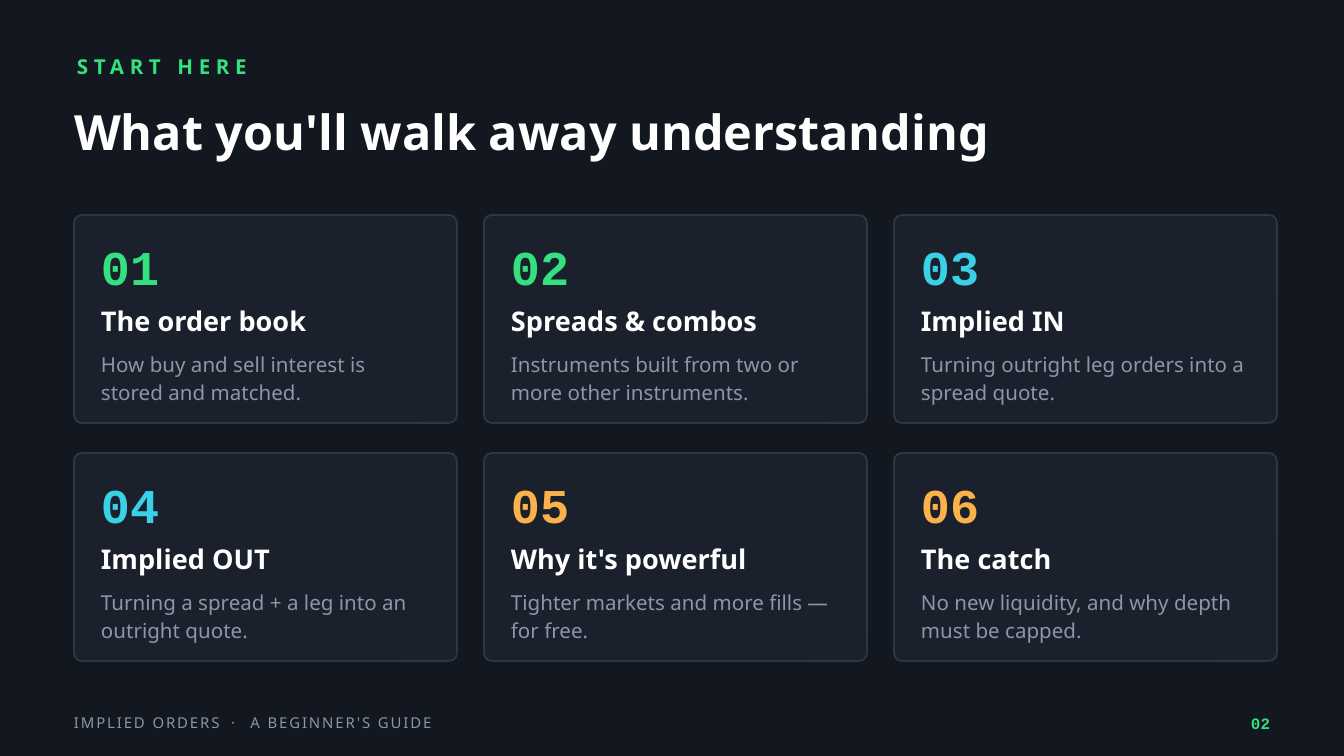
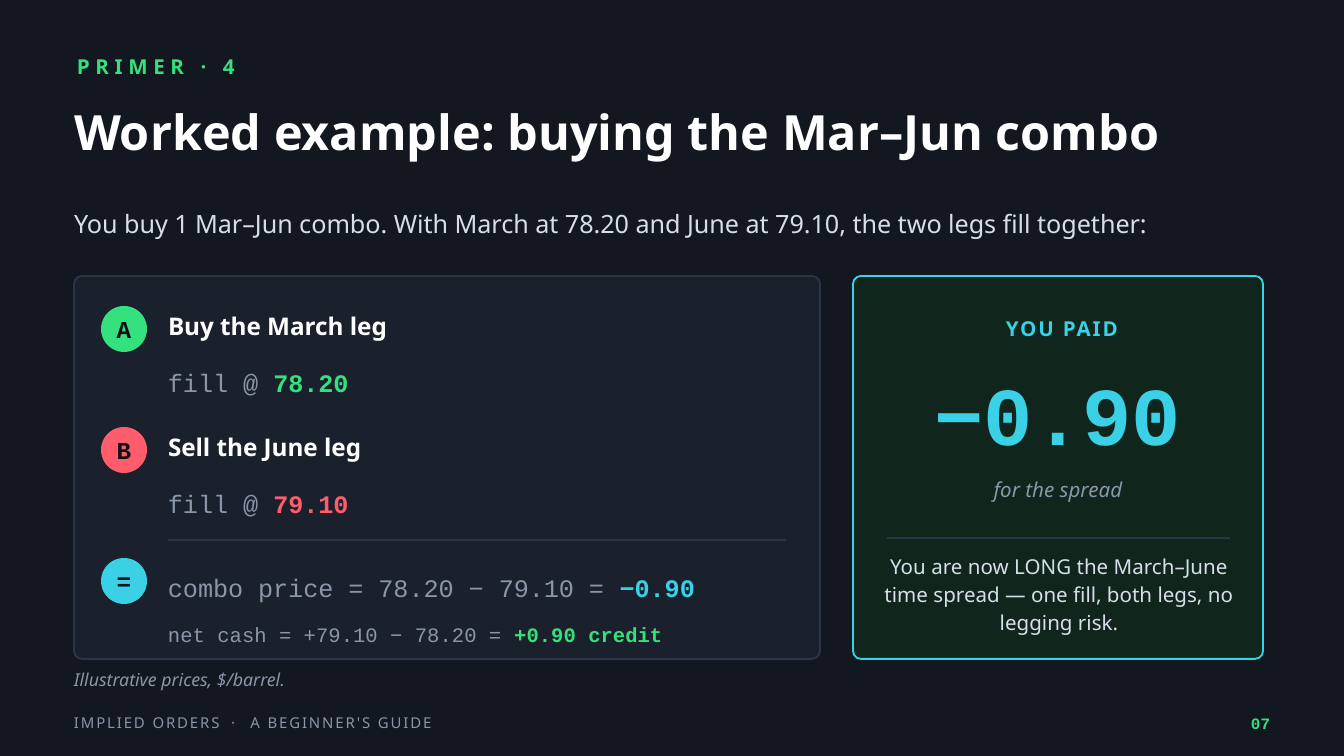
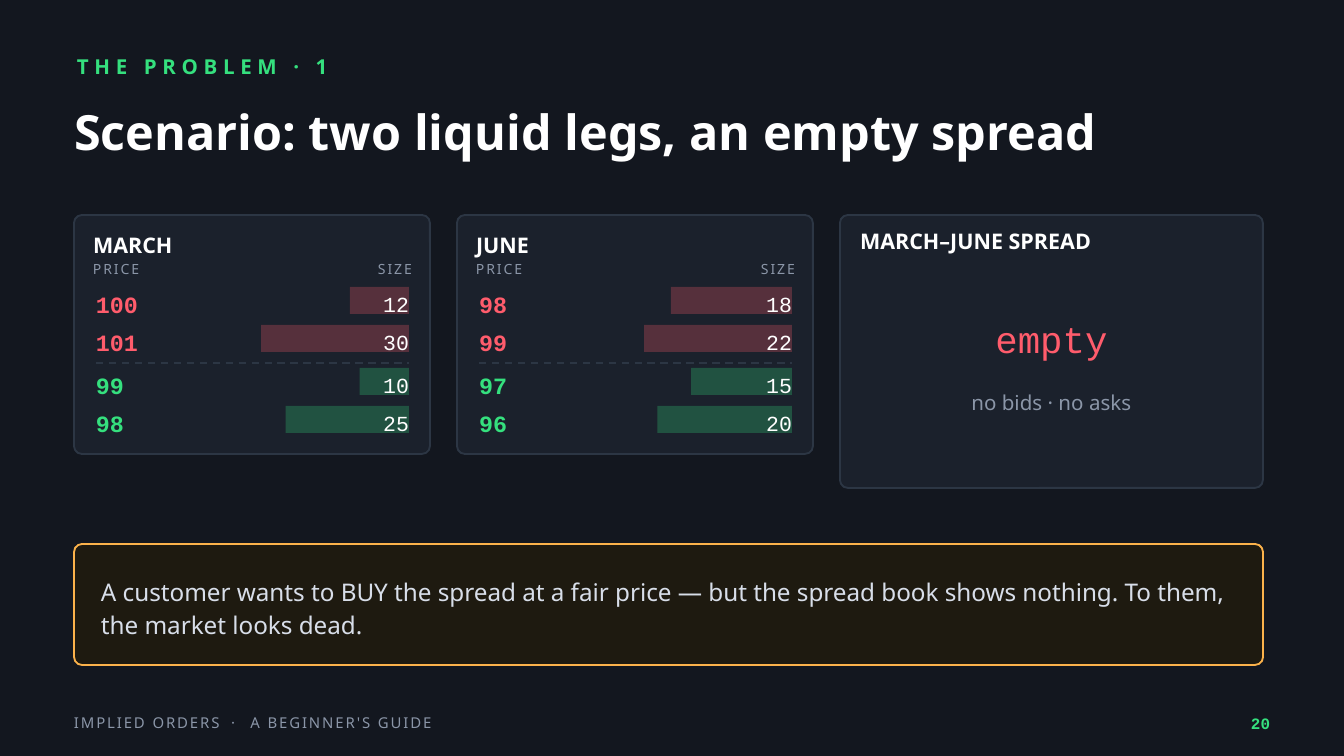
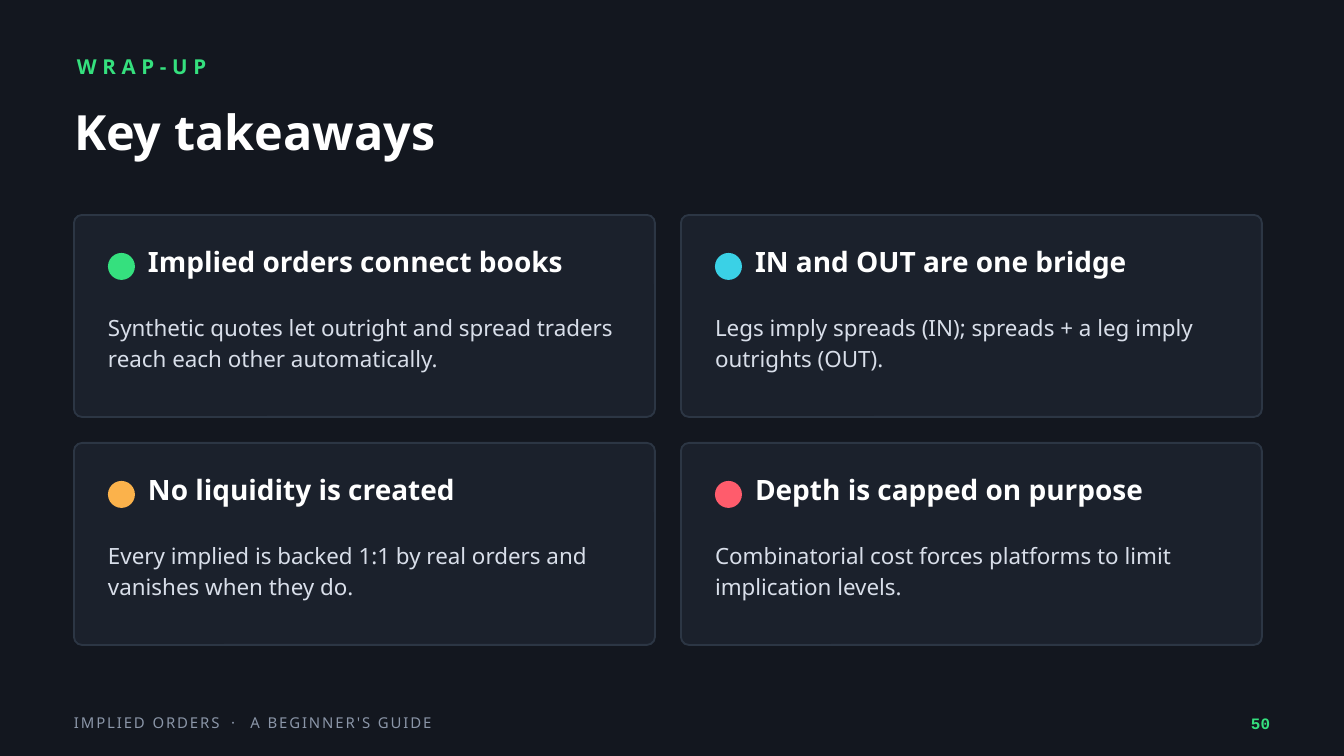
from lxml import etree
from pptx import Presentation
from pptx.dml.color import RGBColor
from pptx.enum.dml import MSO_LINE
from pptx.enum.shapes import MSO_CONNECTOR, MSO_SHAPE
from pptx.enum.text import MSO_ANCHOR, PP_ALIGN
from pptx.oxml.ns import qn
from pptx.util import Emu, Pt

EMU_PER_PX = 914400 / 134.4
WIDTH, HEIGHT = 1344, 756
LEFT, TOP = 74, 215
RADIUS = 8

SANS, MONO = "Noto Sans", "Courier New"
BACKGROUND, PANEL, BORDER = "13171F", "1B212C", "2C3644"
WHITE, LIGHT, MUTED, DARK = "FFFFFF", "D8DEE9", "8B96A8", "0D1016"
GREEN, CYAN, AMBER, RED = "35E07E", "3AD1E6", "FBB24B", "FF5C6C"
CENTER, RIGHT = PP_ALIGN.CENTER, PP_ALIGN.RIGHT


def px(value):
    """Turn picture pixels into EMU."""
    return Emu(round(value * EMU_PER_PX))


def rgb(value):
    """Turn a hex string into a colour."""
    return RGBColor.from_string(value)


def write(frame, runs, size, font=SANS, align=None, middle=False, leading=None):
    """Fill a text frame with one paragraph of (text, colour, style) runs.

    A style holds any of bold, italic and spacing (points between letters).
    """
    frame.word_wrap = True
    frame.margin_left = frame.margin_right = 0
    frame.margin_top = frame.margin_bottom = 0
    frame.vertical_anchor = MSO_ANCHOR.MIDDLE if middle else MSO_ANCHOR.TOP
    paragraph = frame.paragraphs[0]
    paragraph.alignment = align
    if leading:
        paragraph.line_spacing = Pt(leading)
    for text, color, style in runs:
        run = paragraph.add_run()
        run.text = text
        run.font.size = Pt(size)
        run.font.name = font
        run.font.color.rgb = rgb(color)
        run.font.bold = style.get("bold")
        run.font.italic = style.get("italic")
        if "spacing" in style:
            run._r.get_or_add_rPr().set("spc", str(style["spacing"] * 100))


def add_runs(slide, box, runs, size, **layout):
    """Add a text box of several runs; box is left, top, width, height."""
    shape = slide.shapes.add_textbox(*map(px, box))
    write(shape.text_frame, runs, size, **layout)


def add_text(slide, box, text, size, color, font=SANS, align=None,
             middle=False, leading=None, **style):
    """Add a text box of one run."""
    add_runs(slide, box, [(text, color, style)], size, font=font, align=align,
             middle=middle, leading=leading)


def add_shape(slide, kind, box, fill, line=None, opacity=None):
    """Add a flat preset shape, optionally outlined or see-through."""
    shape = slide.shapes.add_shape(kind, *map(px, box))
    shape.shadow.inherit = False
    shape.fill.solid()
    shape.fill.fore_color.rgb = rgb(fill)
    if line:
        shape.line.color.rgb = rgb(line)
        shape.line.width = Pt(1)
    else:
        shape.line.fill.background()
    if opacity:
        color = shape.element.spPr.find(qn("a:solidFill"))[0]
        etree.SubElement(color, qn("a:alpha")).set("val", str(opacity * 1000))
    return shape


def add_card(slide, box, fill=PANEL, line=BORDER):
    """Add a rounded panel with the shared corner radius."""
    card = add_shape(slide, MSO_SHAPE.ROUNDED_RECTANGLE, box, fill, line)
    card.adjustments[0] = RADIUS / min(box[2:])


def add_rule(slide, x1, x2, y, dashed=False):
    """Add a thin horizontal divider."""
    rule = slide.shapes.add_connector(
        MSO_CONNECTOR.STRAIGHT, px(x1), px(y), px(x2), px(y))
    rule.line.color.rgb = rgb(BORDER)
    rule.line.width = Pt(1)
    if dashed:
        rule.line.dash_style = MSO_LINE.DASH
    etree.SubElement(rule.element.spPr, qn("a:effectLst"))


def add_slide(deck, kicker, title, number):
    """Add a slide with background, heading and footer."""
    slide = deck.slides.add_slide(deck.slide_layouts[6])
    slide.background.fill.solid()
    slide.background.fill.fore_color.rgb = rgb(BACKGROUND)
    add_text(slide, (LEFT, 83, 1196, 97), title, 26, WHITE, middle=True, bold=True)
    add_text(slide, (77, 54, 1196, 32), kicker, 11, GREEN, bold=True, spacing=3)
    footer = [("IMPLIED ORDERS", MUTED, {"spacing": 1}),
              (" · ", MUTED, {"spacing": 3}),
              ("A BEGINNER'S GUIDE", MUTED, {"spacing": 1})]
    add_runs(slide, (LEFT, 714, 806, 30), footer, 8)
    add_text(slide, (1216, 714, 54, 30), number, 8.5, GREEN, MONO, RIGHT, bold=True)
    return slide


def add_topic(slide, x, y, number, color, heading, body):
    """Add a numbered topic card."""
    add_card(slide, (x, y, 383, 208))
    add_text(slide, (x + 27, y + 22, 134, 67), number, 26, color, MONO, bold=True)
    add_text(slide, (x + 27, y + 89, 329, 46), heading, 14.5, WHITE, bold=True)
    add_text(slide, (x + 27, y + 134, 329, 67), body, 11, MUTED, leading=15)


def add_badge(slide, y, letter, color):
    """Add a round step marker with its letter."""
    badge = add_shape(slide, MSO_SHAPE.OVAL, (101, y, 46, 46), color)
    write(badge.text_frame, [(letter, DARK, {"bold": True})], 13, MONO,
          CENTER, middle=True)


def add_sum(slide, y, height, label, result, color, size=13.5):
    """Add a monospaced line that ends in a bold coloured result."""
    runs = [(label, MUTED, {}), (result, color, {"bold": True})]
    add_runs(slide, (168, y, 632, height), runs, size, font=MONO, middle=True)


def add_book(slide, x, name, asks, bids):
    """Add an order book whose bars are scaled to its largest size."""
    add_card(slide, (x, TOP, 356, 239))
    add_text(slide, (x + 19, TOP + 7, 319, 46), name, 11.5, WHITE,
             middle=True, bold=True)
    add_text(slide, (x + 19, TOP + 46, 160, 27), "PRICE", 7.5, MUTED, spacing=1)
    add_text(slide, (x + 222, TOP + 46, 116, 27), "SIZE", 7.5, MUTED,
             align=RIGHT, spacing=1)
    largest = max(size for _, size in asks + bids)
    right = x + 335
    for orders, color, first in ((asks, RED, TOP + 70), (bids, GREEN, TOP + 151)):
        for row, (price, size) in enumerate(orders):
            y = first + 38 * row
            length = 148 * size / largest
            add_shape(slide, MSO_SHAPE.RECTANGLE,
                      (right - length, y + 2, length, 27), color, opacity=26)
            add_text(slide, (x + 22, y, 188, 38), str(price), 12.5, color, MONO,
                     middle=True, bold=True)
            add_text(slide, (right - 113, y, 113, 38), str(size), 11.5, WHITE,
                     MONO, RIGHT, middle=True)
    add_rule(slide, x + 22, right, TOP + 148, dashed=True)


def add_takeaway(slide, x, y, color, heading, body):
    """Add a takeaway card with a coloured dot."""
    add_card(slide, (x, y, 581, 202))
    add_shape(slide, MSO_SHAPE.OVAL, (x + 34, y + 38, 27, 27), color)
    add_text(slide, (x + 74, y + 30, 480, 47), heading, 15, WHITE, bold=True)
    add_text(slide, (x + 34, y + 94, 513, 94), body, 12, LIGHT, leading=17)


def build_agenda(deck):
    """Build the overview of six topics."""
    slide = add_slide(deck, "START HERE", "What you'll walk away understanding", "02")
    topics = [
        (GREEN, "The order book", "How buy and sell interest is stored and matched."),
        (GREEN, "Spreads & combos",
         "Instruments built from two or more other instruments."),
        (CYAN, "Implied IN", "Turning outright leg orders into a spread quote."),
        (CYAN, "Implied OUT", "Turning a spread + a leg into an outright quote."),
        (AMBER, "Why it's powerful", "Tighter markets and more fills — for free."),
        (AMBER, "The catch", "No new liquidity, and why depth must be capped."),
    ]
    for index, topic in enumerate(topics):
        row, column = divmod(index, 3)
        add_topic(slide, LEFT + 410 * column, TOP + 238 * row,
                  f"{index + 1:02}", *topic)


def build_example(deck):
    """Build the worked combo trade."""
    slide = add_slide(deck, "PRIMER · 4",
                      "Worked example: buying the Mar–Jun combo", "07")
    add_text(slide, (LEFT, 208, 1189, 47),
             "You buy 1 Mar–Jun combo. With March at 78.20 and June at 79.10, "
             "the two legs fill together:", 13.5, LIGHT)

    add_card(slide, (LEFT, 276, 746, 383))
    legs = [(306, "A", "Buy the March leg", "78.20", GREEN),
            (427, "B", "Sell the June leg", "79.10", RED)]
    for y, letter, heading, price, color in legs:
        add_badge(slide, y, letter, color)
        add_text(slide, (168, y + 5, 618, 40), heading, 13, WHITE, bold=True)
        add_sum(slide, y + 49, 54, "fill @ ", price, color)
    add_rule(slide, 168, 786, 540)
    add_badge(slide, 558, "=", CYAN)
    add_sum(slide, 560, 54, "combo price = 78.20 − 79.10 = ", "−0.90", CYAN)
    add_sum(slide, 617, 34, "net cash = +79.10 − 78.20 = ", "+0.90 credit", GREEN, 11)

    add_card(slide, (853, 276, 410, 383), "10251C", CYAN)
    add_text(slide, (874, 316, 376, 40), "YOU PAID", 11, CYAN, align=CENTER,
             bold=True, spacing=1)
    add_text(slide, (853, 363, 410, 121), "−0.90", 44, CYAN, MONO, CENTER, bold=True)
    add_text(slide, (853, 477, 410, 40), "for the spread", 11, MUTED,
             align=CENTER, italic=True)
    add_rule(slide, 887, 1230, 538)
    add_text(slide, (874, 551, 370, 101),
             "You are now LONG the March–June time spread — one fill, both legs, "
             "no legging risk.", 11, LIGHT, align=CENTER, leading=15)
    add_text(slide, (LEFT, 669, 538, 34), "Illustrative prices, $/barrel.", 9.5,
             MUTED, italic=True)


def build_scenario(deck):
    """Build the two leg books beside the empty spread book."""
    slide = add_slide(deck, "THE PROBLEM · 1",
                      "Scenario: two liquid legs, an empty spread", "20")
    add_book(slide, LEFT, "MARCH", [(100, 12), (101, 30)], [(99, 10), (98, 25)])
    add_book(slide, LEFT + 383, "JUNE", [(98, 18), (99, 22)], [(97, 15), (96, 20)])

    add_card(slide, (840, TOP, 423, 273))
    add_text(slide, (860, 228, 390, 40), "MARCH–JUNE SPREAD", 11.5, WHITE, bold=True)
    add_text(slide, (840, 316, 423, 67), "empty", 20, RED, MONO, CENTER)
    add_text(slide, (840, 390, 423, 40), "no bids · no asks", 11, MUTED, align=CENTER)

    add_card(slide, (LEFT, 544, 1189, 121), "1E1A10", AMBER)
    add_text(slide, (101, 559, 1142, 94),
             "A customer wants to BUY the spread at a fair price — but the spread "
             "book shows nothing. To them, the market looks dead.", 13, LIGHT,
             middle=True, leading=18)


def build_takeaways(deck):
    """Build the closing four takeaways."""
    slide = add_slide(deck, "WRAP-UP", "Key takeaways", "50")
    takeaways = [
        (GREEN, "Implied orders connect books",
         "Synthetic quotes let outright and spread traders reach each other "
         "automatically."),
        (CYAN, "IN and OUT are one bridge",
         "Legs imply spreads (IN); spreads + a leg imply outrights (OUT)."),
        (AMBER, "No liquidity is created",
         "Every implied is backed 1:1 by real orders and vanishes when they do."),
        (RED, "Depth is capped on purpose",
         "Combinatorial cost forces platforms to limit implication levels."),
    ]
    for index, takeaway in enumerate(takeaways):
        row, column = divmod(index, 2)
        add_takeaway(slide, LEFT + 607 * column, TOP + 228 * row, *takeaway)


def main():
    """Build and save the deck."""
    deck = Presentation()
    deck.slide_width, deck.slide_height = px(WIDTH), px(HEIGHT)
    build_agenda(deck)
    build_example(deck)
    build_scenario(deck)
    build_takeaways(deck)
    deck.save("out.pptx")


main()
